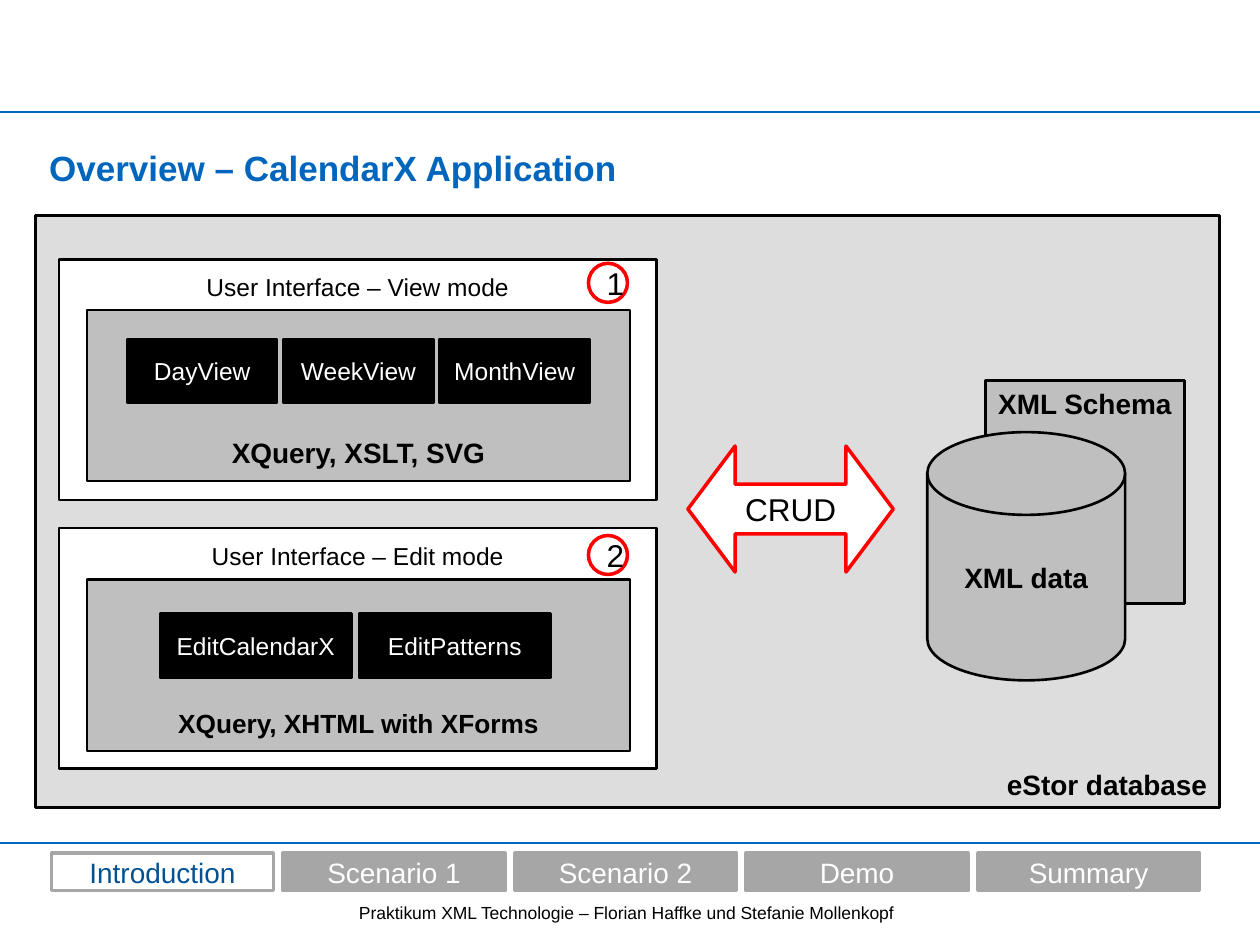
from lxml import etree
from pptx import Presentation
from pptx import util as u
from pptx.dml.color import RGBColor
from pptx.enum import shapes, text
from pptx.oxml.ns import qn

BLUE, BLACK, WHITE, RED = "0065BD", "000000", "FFFFFF", "FF0000"
GREY, TAB_GREY, PALE = "BFBFBF", "A6A6A6", "DDDDDD"
KIND = shapes.MSO_SHAPE
ALIGN = text.PP_ALIGN
ANCHOR = text.MSO_ANCHOR

# Content
TITLE = "Overview – CalendarX Application"
FOOTER = "Praktikum XML Technologie – Florian Haffke und Stefanie Mollenkopf"
TABS = ["Introduction", "Scenario 1", "Scenario 2", "Demo", "Summary"]
ACTIVE_TAB = "Introduction"
PANELS = [
    dict(number="1", heading="User Interface – View mode", top=2.06,
         inner_top=2.46, badge_top=2.09, technology="XQuery, XSLT, SVG", size=16,
         modules=["DayView", "WeekView", "MonthView"],
         left=1.01, module_top=2.69, width=1.19, gap=0.05),
    dict(number="2", heading="User Interface – Edit mode", top=4.19,
         inner_top=4.6, badge_top=4.25, technology="XQuery, XHTML with XForms", size=15,
         modules=["EditCalendarX", "EditPatterns"],
         left=1.27, module_top=4.87, width=1.52, gap=0.06),
]


def rgb(value):
    return RGBColor.from_string(value)


def write(frame, content, size=16, color=BLACK, bold=False, align=ALIGN.CENTER,
          anchor=ANCHOR.MIDDLE, insets=(0.1, 0.05), spacing=None):
    frame.word_wrap = True
    frame.auto_size = text.MSO_AUTO_SIZE.NONE
    frame.vertical_anchor = anchor
    frame.margin_left = frame.margin_right = u.Inches(insets[0])
    frame.margin_top = frame.margin_bottom = u.Inches(insets[1])
    paragraph = frame.paragraphs[0]
    paragraph.alignment = align
    if spacing:
        paragraph.line_spacing = spacing
    run = paragraph.add_run()
    run.text = content
    run.font.name = "Arial"
    run.font.size = u.Pt(size)
    run.font.bold = bold
    run.font.color.rgb = rgb(color)


def add_box(content, left, top, width, height, kind=KIND.RECTANGLE, fill=WHITE,
            line=BLACK, weight=1.5, **format):
    shape = slide.shapes.add_shape(kind, *map(u.Inches, (left, top, width, height)))
    shape.shadow.inherit = False
    shape.fill.solid()
    shape.fill.fore_color.rgb = rgb(fill)
    shape.line.color.rgb = rgb(line)
    shape.line.width = u.Pt(weight)
    write(shape.text_frame, content, **format)
    return shape


presentation = Presentation()
presentation.slide_width, presentation.slide_height = u.Inches(10), u.Inches(7.5)
slide = presentation.slides.add_slide(presentation.slide_layouts[5])

# Rules across the slide
for y in (0.89, 6.69):
    rule = slide.shapes.add_connector(shapes.MSO_CONNECTOR.STRAIGHT,
                                      0, u.Inches(y), u.Inches(10), u.Inches(y))
    rule.line.color.rgb = rgb(BLUE)
    rule.line.width = u.Pt(1.5)
    etree.SubElement(rule._element.spPr, qn("a:effectLst"))

# Title
title = slide.shapes.title
title.left, title.top = u.Inches(0.39), u.Inches(1.08)
title.width, title.height = u.Inches(8.12), u.Inches(0.39)
write(title.text_frame, TITLE, size=20, color=BLUE, bold=True, align=ALIGN.LEFT,
      anchor=ANCHOR.TOP, insets=(0, 0), spacing=1.25)

# Navigation tabs and footer
for index, name in enumerate(TABS):
    active = name == ACTIVE_TAB
    add_box(name, 0.41 + index * 1.8375, 6.77, 1.76, 0.3,
            fill=WHITE if active else TAB_GREY, line=TAB_GREY, weight=2,
            color="005293" if active else WHITE)
footer = slide.shapes.add_textbox(*map(u.Inches, (2.25, 7.11, 5.44, 0.27)))
write(footer.text_frame, FOOTER, size=10, insets=(0.04, 0.04))

# Database frame, schema, arrow and data store
add_box("eStor database", 0.28, 1.71, 9.4, 4.7, fill=PALE, bold=True,
        align=ALIGN.RIGHT, anchor=ANCHOR.BOTTOM)
add_box("XML Schema", 7.82, 3.02, 1.58, 1.77, fill=GREY, bold=True, anchor=ANCHOR.TOP)
arrow = add_box("CRUD", 5.46, 3.54, 1.63, 1, kind=KIND.LEFT_RIGHT_ARROW,
                line=RED, weight=2, size=18)
arrow.adjustments[0], arrow.adjustments[1] = 0.395, 0.375
add_box("XML data", 7.36, 3.43, 1.57, 1.97, kind=KIND.FLOWCHART_MAGNETIC_DISK,
        fill=GREY, bold=True)

# User interface panels
for panel in PANELS:
    add_box(panel["heading"], 0.47, panel["top"], 4.74, 1.91, size=14,
            anchor=ANCHOR.TOP, insets=(0.1, 0.1))
    add_box(panel["technology"], 0.69, panel["inner_top"], 4.31, 1.36, fill=GREY,
            size=panel["size"], bold=True, anchor=ANCHOR.BOTTOM, insets=(0.1, 0.1))
    for index, module in enumerate(panel["modules"]):
        add_box(module, panel["left"] + index * (panel["width"] + panel["gap"]),
                panel["module_top"], panel["width"], 0.51, fill=BLACK,
                size=14, color=WHITE)
    add_box(panel["number"], 4.67, panel["badge_top"], 0.31, 0.31, kind=KIND.OVAL,
            line=RED, weight=2, size=18, insets=(0.1, 0))

presentation.save("out.pptx")
